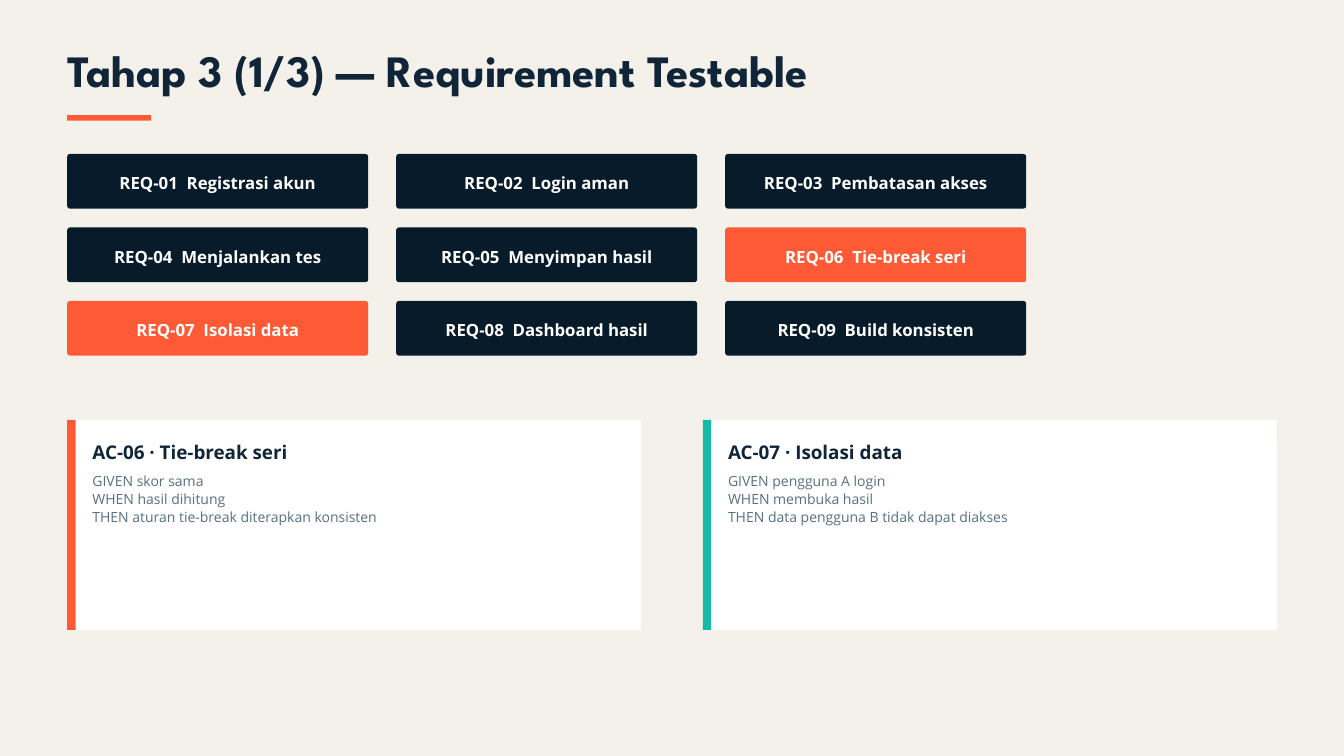
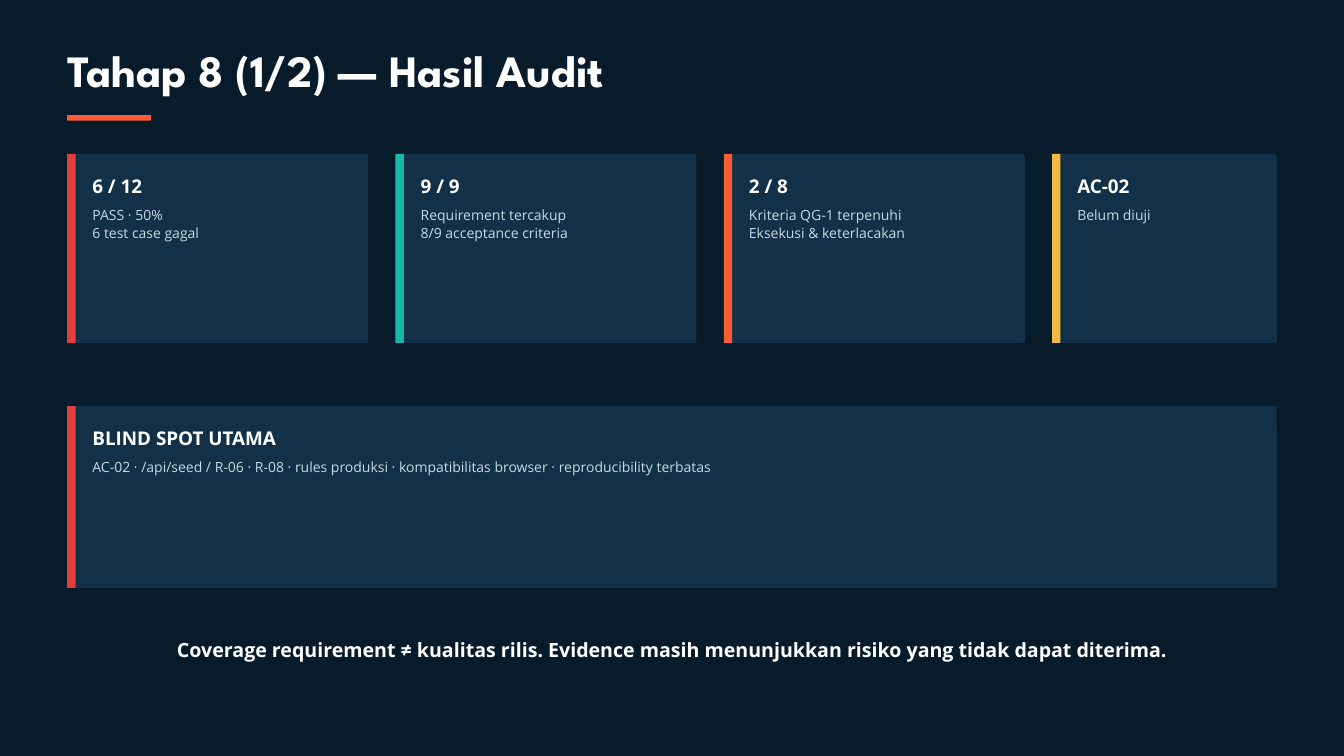
import dataclasses

import pptx
import pptx.dml.color
import pptx.enum.shapes
import pptx.enum.text
import pptx.util

Pt = pptx.util.Pt
Shape = pptx.enum.shapes.MSO_SHAPE
Align = pptx.enum.text.PP_ALIGN
Anchor = pptx.enum.text.MSO_ANCHOR


@dataclasses.dataclass(frozen=True)
class Theme:
    # Colours
    navy: str = "071B2B"
    ink: str = "102638"
    panel: str = "123149"
    cream: str = "F4F1EA"
    white: str = "FFFFFF"
    slate: str = "587080"
    mist: str = "C9D8DF"
    orange: str = "FF5A36"
    teal: str = "16B8A6"
    red: str = "E43D3D"
    gold: str = "F4B942"
    # Type styles: font, size, line spacing, bold
    title: tuple = ("League Spartan", 48, 49, True)
    chip: tuple = ("Open Sans", 18, 25.2, True)
    head: tuple = ("Open Sans", 20.2, 27.3, True)
    body: tuple = ("Open Sans", 15, 19.5, False)
    note: tuple = ("Open Sans", 21, 28.4, True)


T = Theme()
WIDE, HIGH, EDGE = 1440, 810, 72
FULL = WIDE - 2 * EDGE
TOP = 165

# Content
REQ_TITLE = "Tahap 3 (1/3) — Requirement Testable"
REQS = [
    ("REQ-01", "Registrasi akun"), ("REQ-02", "Login aman"),
    ("REQ-03", "Pembatasan akses"), ("REQ-04", "Menjalankan tes"),
    ("REQ-05", "Menyimpan hasil"), ("REQ-06", "Tie-break seri"),
    ("REQ-07", "Isolasi data"), ("REQ-08", "Dashboard hasil"),
    ("REQ-09", "Build konsisten"),
]
KEY_REQS = {"REQ-06", "REQ-07"}
TESTS = [
    ("AC-06 · Tie-break seri",
     ["GIVEN skor sama", "WHEN hasil dihitung",
      "THEN aturan tie-break diterapkan konsisten"], T.orange),
    ("AC-07 · Isolasi data",
     ["GIVEN pengguna A login", "WHEN membuka hasil",
      "THEN data pengguna B tidak dapat diakses"], T.teal),
]
AUDIT_TITLE = "Tahap 8 (1/2) — Hasil Audit"
SCORES = [
    ("6 / 12", ["PASS · 50%", "6 test case gagal"], T.red),
    ("9 / 9", ["Requirement tercakup", "8/9 acceptance criteria"], T.teal),
    ("2 / 8", ["Kriteria QG-1 terpenuhi", "Eksekusi & keterlacakan"], T.orange),
    ("AC-02", ["Belum diuji"], T.gold),
]
BLIND = (
    "BLIND SPOT UTAMA",
    ["AC-02 · /api/seed / R-06 · R-08 · rules produksi · "
     "kompatibilitas browser · reproducibility terbatas"], T.red,
)
NOTE = ("Coverage requirement ≠ kualitas rilis. Evidence masih menunjukkan "
        "risiko yang tidak dapat diterima.")


# Shared parts
def rgb(code):
    return pptx.dml.color.RGBColor.from_string(code)


def style(frame, kind, color, align=Align.LEFT, inset=0, anchor=Anchor.TOP):
    font, size, lead, bold = kind
    frame.word_wrap = True
    frame.auto_size = pptx.enum.text.MSO_AUTO_SIZE.NONE
    frame.vertical_anchor = anchor
    frame.margin_left = frame.margin_right = Pt(inset)
    frame.margin_top = frame.margin_bottom = Pt(inset)
    for para in frame.paragraphs:
        para.alignment = align
        para.line_spacing = Pt(lead)
        for run in para.runs:
            run.font.name = font
            run.font.size = Pt(size)
            run.font.bold = bold
            run.font.color.rgb = rgb(color)


def block(slide, box, color, curve=0):
    kind = Shape.ROUNDED_RECTANGLE if curve else Shape.RECTANGLE
    shape = slide.shapes.add_shape(kind, *map(Pt, box))
    if curve:
        shape.adjustments[0] = curve / min(box[2:])
    shape.shadow.inherit = False
    shape.fill.solid()
    shape.fill.fore_color.rgb = rgb(color)
    shape.line.fill.background()
    return shape


def label(slide, box, lines, kind, color, align=Align.LEFT):
    frame = slide.shapes.add_textbox(*map(Pt, box)).text_frame
    frame.text = "\n".join(lines)
    style(frame, kind, color, align)


def card(slide, box, item, fill, inks, curve):
    head, lines, accent = item
    left, top, wide, high = box
    block(slide, box, fill, curve)
    block(slide, (left, top, 9, high), accent)
    lead = T.body[2]
    label(slide, (left + 27, top + 18.75, wide - 51, 26), [head], T.head, inks[0])
    label(slide, (left + 27, top + 54.75, wide - 51, lead * len(lines)),
          lines, T.body, inks[1])


def chip(slide, box, req, color):
    frame = block(slide, box, color, 3).text_frame
    para = frame.paragraphs[0]
    runs = [para.add_run() for _ in range(3)]
    for run, text in zip(runs, (req[0], " ", req[1])):
        run.text = text
    style(frame, T.chip, T.white, Align.CENTER, 4.5, Anchor.MIDDLE)
    # Widen the gap between code and name (hundredths of a point)
    runs[1].font._element.set("spc", "470")


def start(deck, title, back, ink):
    slide = deck.slides.add_slide(deck.slide_layouts[5])
    slide.background.fill.solid()
    slide.background.fill.fore_color.rgb = rgb(back)
    head = slide.shapes.title
    head.left, head.top, head.width, head.height = map(Pt, (EDGE, 54.75, 1125, 50))
    head.text_frame.text = title
    style(head.text_frame, T.title, ink)
    block(slide, (EDGE, 123.25, 90, 6), T.orange)
    return slide


# Requirements: grid of chips above two test cards
def show_reqs(deck):
    slide = start(deck, REQ_TITLE, T.cream, T.ink)
    wide, high, cols = 322.5, 58.5, 3
    for i, req in enumerate(REQS):
        row, col = divmod(i, cols)
        box = (EDGE + col * (wide + 30), TOP + row * (high + 20.25), wide, high)
        chip(slide, box, req, T.orange if req[0] in KEY_REQS else T.navy)
    gap = 66
    wide = (FULL - gap) / 2
    for i, item in enumerate(TESTS):
        box = (EDGE + i * (wide + gap), 450, wide, 225)
        card(slide, box, item, T.white, (T.ink, T.slate), 1.2)


# Audit: row of scores, blind spots, closing note
def show_audit(deck):
    slide = start(deck, AUDIT_TITLE, T.navy, T.white)
    inks = (T.white, T.mist)
    wide, gap = 322.5, 29.25
    for i, item in enumerate(SCORES):
        left = EDGE + i * (wide + gap)
        box = (left, TOP, min(wide, WIDE - EDGE - left), 202.5)
        card(slide, box, item, T.panel, inks, 2.5)
    card(slide, (EDGE, 435, FULL, 195), BLIND, T.panel, inks, 0.75)
    label(slide, (187.5, 680.5, 1065, 27), [NOTE], T.note, T.white, Align.CENTER)


def main():
    deck = pptx.Presentation()
    deck.slide_width, deck.slide_height = Pt(WIDE), Pt(HIGH)
    show_reqs(deck)
    show_audit(deck)
    deck.save("out.pptx")


if __name__ == "__main__":
    main()
